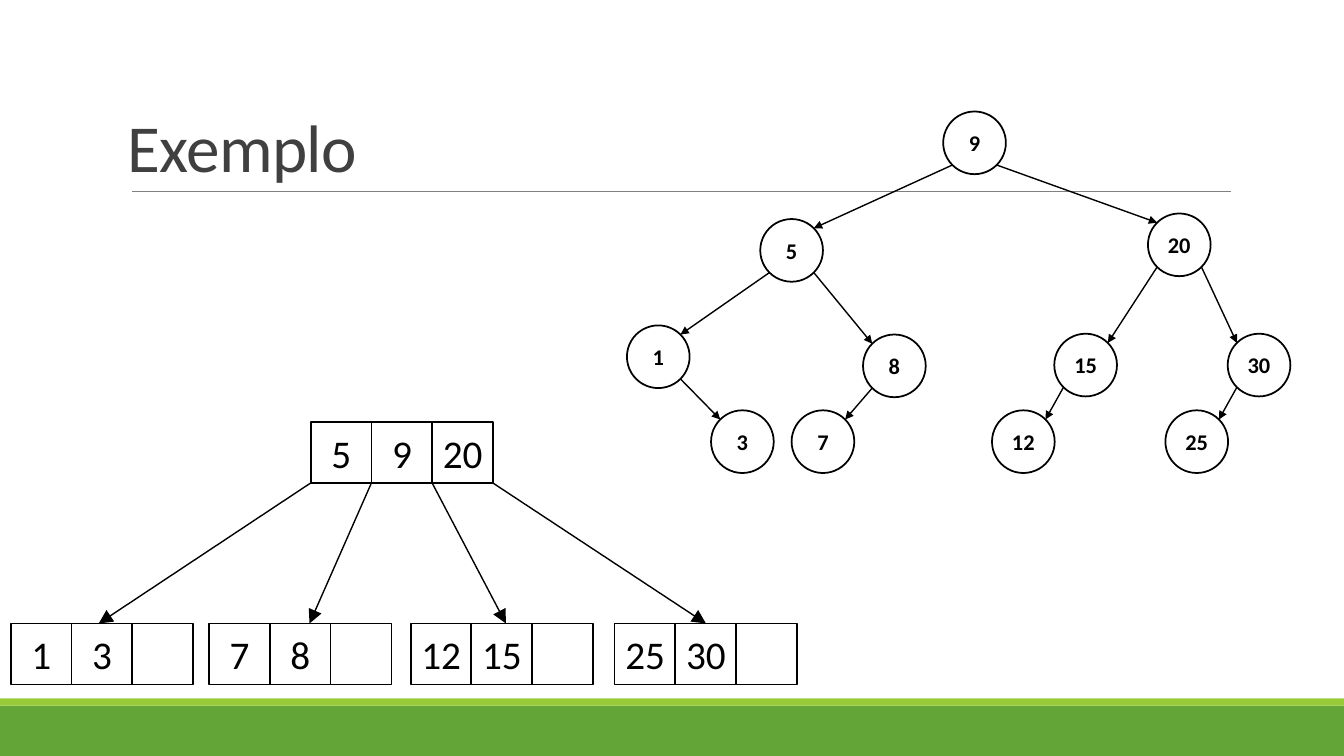
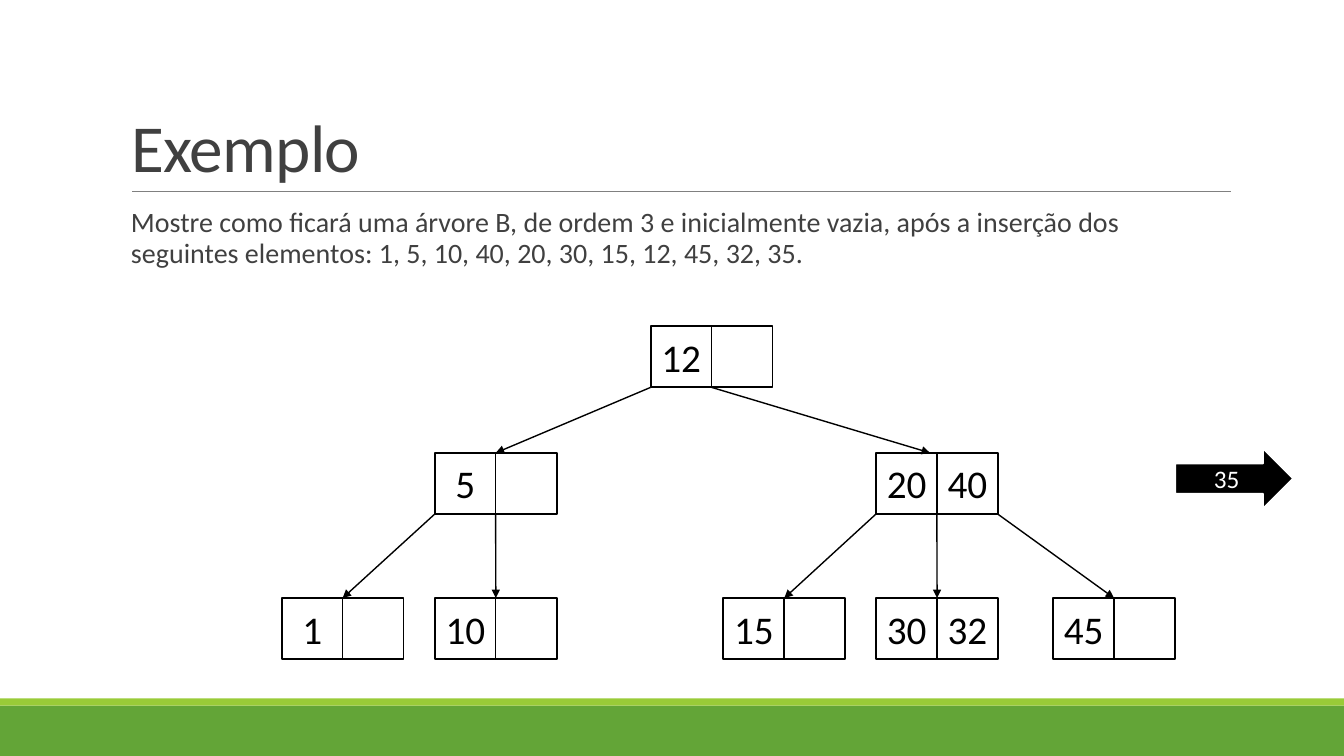
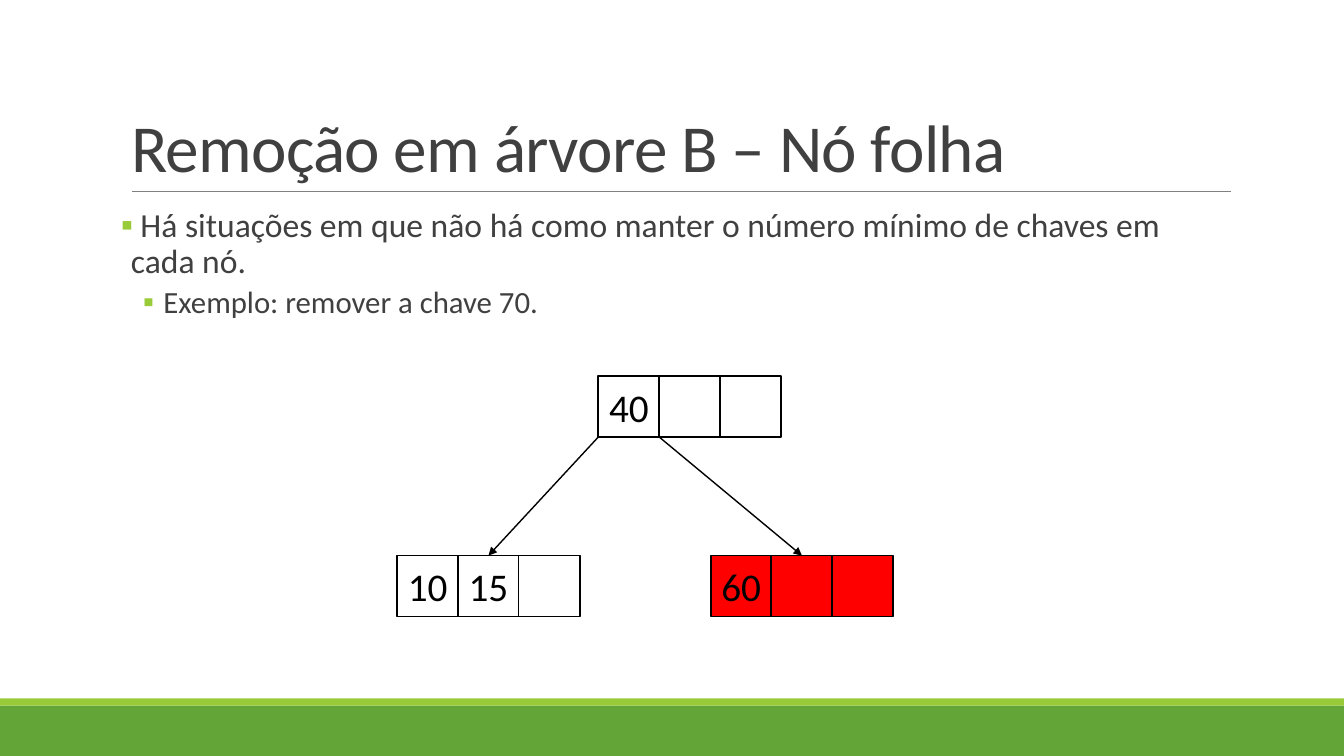
import math
from dataclasses import dataclass
from typing import Optional

import pptx
import pptx.dml.color
import pptx.enum.shapes
import pptx.enum.text
import pptx.oxml.ns
import pptx.oxml.xmlchemy
import pptx.presentation
import pptx.shapes.autoshape
import pptx.shapes.connector
import pptx.slide
import pptx.text.text
import pptx.util

Cm = pptx.util.Cm
Pt = pptx.util.Pt
RGBColor = pptx.dml.color.RGBColor
Shapes = pptx.enum.shapes.MSO_SHAPE
Align = pptx.enum.text.PP_ALIGN
Anchor = pptx.enum.text.MSO_ANCHOR
qn = pptx.oxml.ns.qn
OxmlElement = pptx.oxml.xmlchemy.OxmlElement

BLACK = RGBColor(0x00, 0x00, 0x00)
WHITE = RGBColor(0xFF, 0xFF, 0xFF)
RED = RGBColor(0xFF, 0x00, 0x00)
TEXT_GRAY = RGBColor(0x40, 0x40, 0x40)
RULE_GRAY = RGBColor(0x80, 0x80, 0x80)
GREEN = RGBColor(0x63, 0xA5, 0x37)
LIME = RGBColor(0x99, 0xCB, 0x38)

FONT = "Calibri"
SLIDE_WIDTH, SLIDE_HEIGHT = 33.87, 19.05
TITLE_LEFT = 3.05
CONTENT_WIDTH = 27.94
CELL = 1.54
CELL_PITCH = 1.53
CIRCLE = 1.58
TITLE_AND_BODY, TITLE_ONLY = 1, 5

Point = tuple[float, float]


@dataclass(frozen=True)
class BNode:
    """B-tree node; lengths are centimetres and empty keys are blank cells."""
    keys: tuple[str, ...]
    left: float
    top: float
    children: tuple["BNode", ...] = ()
    fill: RGBColor = WHITE
    arrow_shift: float = 0

    def slot(self, index: int) -> Point:
        return self.left + index * CELL_PITCH, self.top + CELL

    def arrow_target(self) -> Point:
        width = (len(self.keys) - 1) * CELL_PITCH + CELL
        return self.left + width / 2 + self.arrow_shift, self.top


@dataclass(frozen=True)
class BinaryNode:
    key: str
    left: float
    top: float
    lower: Optional["BinaryNode"] = None
    higher: Optional["BinaryNode"] = None

    def diagonal(self, side: int, vertical: int) -> Point:
        """Point of the circle at 45 degrees; side and vertical are 1 or -1."""
        radius = CIRCLE / 2
        reach = radius * math.sqrt(0.5)
        return (self.left + radius + side * reach,
                self.top + radius + vertical * reach)


@dataclass(frozen=True)
class BodyItem:
    text: str
    size: float
    level: int = 0
    margin: float = 0.25
    hanging: float = 0.25
    bullet: Optional[str] = "▪"
    space_before: float = 0
    space_after: float = 2


BINARY_TREE = BinaryNode(
    "9", 23.77, 2.81,
    BinaryNode("5", 19.16, 5.52,
               BinaryNode("1", 15.8, 8.2, higher=BinaryNode("3", 17.92, 10.34)),
               BinaryNode("8", 21.75, 8.43, BinaryNode("7", 19.95, 10.34))),
    BinaryNode("20", 28.93, 5.38,
               BinaryNode("15", 26.57, 8.41, BinaryNode("12", 25, 10.34)),
               BinaryNode("30", 30.94, 8.41, BinaryNode("25", 29.37, 10.34))))

EQUIVALENT_TREE = BNode(("5", "9", "20"), 7.83, 10.63, (
    BNode(("1", "3", ""), 0.27, 15.71, arrow_shift=-0.08),
    BNode(("7", "8", ""), 5.27, 15.71, arrow_shift=0.23),
    BNode(("12", "15", ""), 10.35, 15.71, arrow_shift=0.1),
    BNode(("25", "30", ""), 15.49, 15.71)))

INSERTION_TREE = BNode(("12", ""), 16.4, 8.22, (
    BNode(("5", ""), 10.96, 11.41, (
        BNode(("1", ""), 7.1, 15.07),
        BNode(("10", ""), 10.96, 15.07))),
    BNode(("20", "40"), 22.08, 11.41, (
        BNode(("15", ""), 18.23, 15.07),
        BNode(("30", "32"), 22.08, 15.07),
        BNode(("45", ""), 26.54, 15.07)), arrow_shift=-0.18)))

REMOVAL_TREE = BNode(("40", "", ""), 15.08, 9.47, (
    BNode(("10", "15", ""), 10.01, 14),
    BNode(("60", "", ""), 17.91, 14, fill=RED)))

INSERTION_TEXT = [
    BodyItem("Mostre como ficará uma árvore B, de ordem 3 e inicialmente vazia, "
             "após a inserção dos seguintes elementos: "
             "1, 5, 10, 40, 20, 30, 15, 12, 45, 32, 35.",
             20, hanging=0, bullet=None)]

REMOVAL_TEXT = [
    BodyItem(" Há situações em que não há como manter o número mínimo "
             "de chaves em cada nó.", 24),
    BodyItem("Exemplo: remover a chave 70.", 22, level=1, margin=1.07,
             hanging=0.51, space_before=2, space_after=4)]


def format_font(paragraph: pptx.text.text._Paragraph, size: float,
                color: RGBColor, bold: bool = False) -> None:
    for run in paragraph.runs:
        run.font.name = FONT
        run.font.size = Pt(size)
        run.font.bold = bold
        run.font.color.rgb = color


def add_box(slide: pptx.slide.Slide, kind: Shapes, left: float, top: float,
            width: float, height: float, fill: Optional[RGBColor],
            line: Optional[RGBColor] = None, text: str = "", size: float = 28,
            color: RGBColor = BLACK,
            bold: bool = False) -> pptx.shapes.autoshape.Shape:
    shape = slide.shapes.add_shape(kind, Cm(left), Cm(top), Cm(width), Cm(height))
    shape.shadow.inherit = False
    if fill is None:
        shape.fill.background()
    else:
        shape.fill.solid()
        shape.fill.fore_color.rgb = fill
    if line is None:
        shape.line.fill.background()
    else:
        shape.line.color.rgb = line
        shape.line.width = Pt(1.25)
    if text:
        frame = shape.text_frame
        frame.margin_left = frame.margin_right = 0
        frame.margin_top = frame.margin_bottom = 0
        frame.vertical_anchor = Anchor.MIDDLE
        frame.text = text
        frame.paragraphs[0].alignment = Align.CENTER
        format_font(frame.paragraphs[0], size, color, bold)
    return shape


def add_line(slide: pptx.slide.Slide, start: Point, end: Point,
             color: RGBColor = BLACK, width: float = 1,
             head: Optional[str] = "med") -> pptx.shapes.connector.Connector:
    """Draw a line; head is the arrowhead size, or None for a plain line."""
    connector = slide.shapes.add_connector(
        pptx.enum.shapes.MSO_CONNECTOR.STRAIGHT,
        *(Cm(length) for length in (*start, *end)))
    connector.line.color.rgb = color
    connector.line.width = Pt(width)
    properties = connector.element.spPr
    if head:
        tail = OxmlElement("a:tailEnd")
        tail.set("type", "triangle")
        tail.set("w", head)
        tail.set("len", head)
        properties.find(qn("a:ln")).append(tail)
    properties.append(OxmlElement("a:effectLst"))
    return connector


def decorate_master(presentation: pptx.presentation.Presentation,
                    slide: pptx.slide.Slide) -> None:
    """Draw the bands and title rule on a slide, then move them to the master."""
    decorations = [
        add_box(slide, Shapes.RECTANGLE, 0, 17.78, SLIDE_WIDTH, 1.27, GREEN),
        add_box(slide, Shapes.RECTANGLE, 0, 17.6, SLIDE_WIDTH, 0.18, LIME),
        add_line(slide, (3.33, 4.82), (31.01, 4.82), RULE_GRAY, 0.5, None)]
    shape_tree = presentation.slide_master.element.cSld.spTree
    for number, shape in enumerate(decorations, start=101):
        shape.element.xpath(".//p:cNvPr")[0].set("id", str(number))
        shape_tree.append(shape.element)


def add_slide(presentation: pptx.presentation.Presentation, layout: int,
              title: str, title_left: float = TITLE_LEFT) -> pptx.slide.Slide:
    slide = presentation.slides.add_slide(presentation.slide_layouts[layout])
    shape = slide.shapes.title
    shape.left, shape.top = Cm(title_left), Cm(0.79)
    shape.width, shape.height = Cm(CONTENT_WIDTH), Cm(4.03)
    frame = shape.text_frame
    frame.text = title
    frame.word_wrap = True
    frame.auto_size = pptx.enum.text.MSO_AUTO_SIZE.NONE
    frame.vertical_anchor = Anchor.BOTTOM
    paragraph = frame.paragraphs[0]
    paragraph.alignment = Align.LEFT
    paragraph.line_spacing = 0.85
    format_font(paragraph, 48, TEXT_GRAY)
    for run_properties in shape.element.iter(qn("a:rPr")):
        run_properties.set("spc", "-50")
    return slide


def set_bullet(paragraph: pptx.text.text._Paragraph, item: BodyItem) -> None:
    properties = paragraph._p.get_or_add_pPr()
    properties.set("marL", str(Cm(item.margin)))
    properties.set("indent", str(-Cm(item.hanging)))
    if item.bullet is None:
        properties.append(OxmlElement("a:buNone"))
        return
    bullet_color = OxmlElement("a:buClr")
    value = OxmlElement("a:srgbClr")
    value.set("val", str(LIME))
    bullet_color.append(value)
    bullet_font = OxmlElement("a:buFont")
    bullet_font.set("typeface", FONT)
    character = OxmlElement("a:buChar")
    character.set("char", item.bullet)
    for element in (bullet_color, bullet_font, character):
        properties.append(element)


def fill_body(slide: pptx.slide.Slide, items: list[BodyItem]) -> None:
    body = slide.placeholders[1]
    body.left, body.top = Cm(TITLE_LEFT), Cm(5.13)
    body.width, body.height = Cm(CONTENT_WIDTH), Cm(11.18)
    frame = body.text_frame
    frame.margin_left = frame.margin_right = 0
    frame.word_wrap = True
    frame.auto_size = pptx.enum.text.MSO_AUTO_SIZE.NONE
    frame.text = "\n".join(item.text for item in items)
    for paragraph, item in zip(frame.paragraphs, items):
        paragraph.level = item.level
        set_bullet(paragraph, item)
        paragraph.line_spacing = 0.9
        paragraph.space_before = Pt(item.space_before)
        paragraph.space_after = Pt(item.space_after)
        format_font(paragraph, item.size, TEXT_GRAY)


def draw_b_tree(slide: pptx.slide.Slide, node: BNode, head: str = "med") -> None:
    for index, key in enumerate(node.keys):
        add_box(slide, Shapes.RECTANGLE, node.left + index * CELL_PITCH, node.top,
                CELL, CELL, node.fill, BLACK, key)
    for index, child in enumerate(node.children):
        draw_b_tree(slide, child, head)
        add_line(slide, node.slot(index), child.arrow_target(), head=head)


def draw_binary_tree(slide: pptx.slide.Slide, node: BinaryNode) -> None:
    add_box(slide, Shapes.OVAL, node.left, node.top, CIRCLE, CIRCLE, None, BLACK,
            node.key, size=16, bold=True)
    for side, child in ((-1, node.lower), (1, node.higher)):
        if child:
            draw_binary_tree(slide, child)
            add_line(slide, node.diagonal(side, 1), child.diagonal(-side, -1))


def main() -> None:
    presentation = pptx.Presentation()
    presentation.slide_width = Cm(SLIDE_WIDTH)
    presentation.slide_height = Cm(SLIDE_HEIGHT)

    comparison = add_slide(presentation, TITLE_ONLY, "Exemplo", title_left=2.97)
    decorate_master(presentation, comparison)
    draw_b_tree(comparison, EQUIVALENT_TREE, head="lg")
    draw_binary_tree(comparison, BINARY_TREE)

    insertion = add_slide(presentation, TITLE_AND_BODY, "Exemplo")
    fill_body(insertion, INSERTION_TEXT)
    draw_b_tree(insertion, INSERTION_TREE)
    add_box(insertion, Shapes.RIGHT_ARROW, 29.62, 11.3, 2.97, 1.52, BLACK, WHITE,
            "35", size=18, color=WHITE)

    removal = add_slide(presentation, TITLE_AND_BODY,
                        "Remoção em árvore B – Nó folha")
    fill_body(removal, REMOVAL_TEXT)
    draw_b_tree(removal, REMOVAL_TREE)

    presentation.save("out.pptx")


if __name__ == "__main__":
    main()
